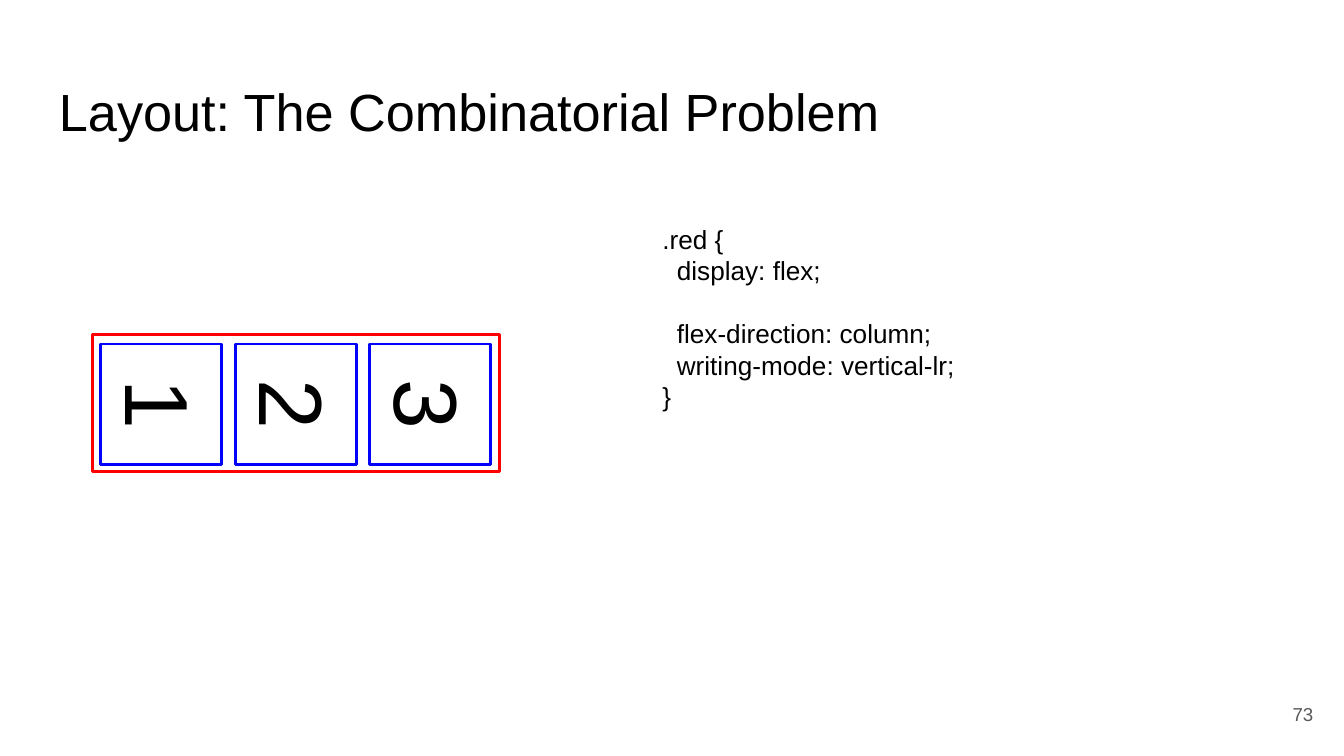
from pptx import Presentation
from pptx.dml.color import RGBColor
from pptx.enum.shapes import MSO_SHAPE as Shape
from pptx.enum.text import MSO_ANCHOR as Anchor, PP_ALIGN as Align
from pptx.util import Inches, Pt

CODE_LINES = [
    ".red {",
    "  display: flex;",
    "  flex-direction: column;",
    "  writing-mode: vertical-lr;",
    "}",
]
BLACK, GRAY, RED, BLUE = "000000", "595959", "FF0000", "0000FF"


def color(hex_code):
    return RGBColor.from_string(hex_code)


def write(frame, lines, size=14, ink=BLACK, align=Align.LEFT, anchor=Anchor.TOP):
    """Fill a text frame with one paragraph per line."""
    frame.word_wrap = True
    frame.vertical_anchor = anchor
    frame.margin_left = frame.margin_right = Inches(0.1)
    frame.margin_top = frame.margin_bottom = Inches(0.1)
    for index, line in enumerate(lines):
        paragraph = frame.paragraphs[0] if index == 0 else frame.add_paragraph()
        paragraph.alignment = align
        run = paragraph.add_run()
        run.text = line
        run.font.name = "Arial"
        run.font.size = Pt(size)
        run.font.color.rgb = color(ink)
    return frame


def add_text(slide, left, top, width, height, lines, **style):
    box = slide.shapes.add_textbox(
        Inches(left), Inches(top), Inches(width), Inches(height))
    return write(box.text_frame, lines, **style)


def add_outline(slide, left, top, width, height, line_color):
    outline = slide.shapes.add_shape(
        Shape.RECTANGLE, Inches(left), Inches(top), Inches(width), Inches(height))
    outline.shadow.inherit = False
    outline.fill.background()
    outline.line.color.rgb = color(line_color)
    outline.line.width = Pt(1.5)
    return outline


def add_code(slide, left, top, width, height):
    code = add_text(slide, left, top, width, height, CODE_LINES)
    # One line of space sets the layout rules apart from the display rule
    code.paragraphs[2].space_before = Pt(17)


def add_flex_box(slide, left, top, width, height, items=("1", "2", "3")):
    # Red container
    add_outline(slide, left, top, width, height, RED)
    # Blue items, turned like the vertical writing mode
    side, pitch = 0.9, 1.0
    for index, label in enumerate(items):
        item = add_outline(
            slide, left + 0.06 + index * pitch, top + 0.07, side, side, BLUE)
        item.rotation = 90
        write(item.text_frame, [label], size=48,
              align=Align.CENTER, anchor=Anchor.MIDDLE)


def main():
    deck = Presentation()
    # Widescreen, 16 to 9
    deck.slide_width = Inches(10)
    deck.slide_height = deck.slide_width * 9 // 16
    slide = deck.slides.add_slide(deck.slide_layouts[6])

    # Title and page number
    add_text(slide, 0.34, 0.49, 9.32, 0.63,
             ["Layout: The Combinatorial Problem"], size=28)
    add_text(slide, 9.27, 5.1, 0.6, 0.43, ["73"], size=10, ink=GRAY,
             align=Align.RIGHT, anchor=Anchor.MIDDLE)

    # Style rules and the layout they produce
    add_code(slide, 4.83, 1.56, 4.43, 3.54)
    add_flex_box(slide, 0.69, 2.49, 3.03, 1.02)

    deck.save("out.pptx")


if __name__ == "__main__":
    main()
